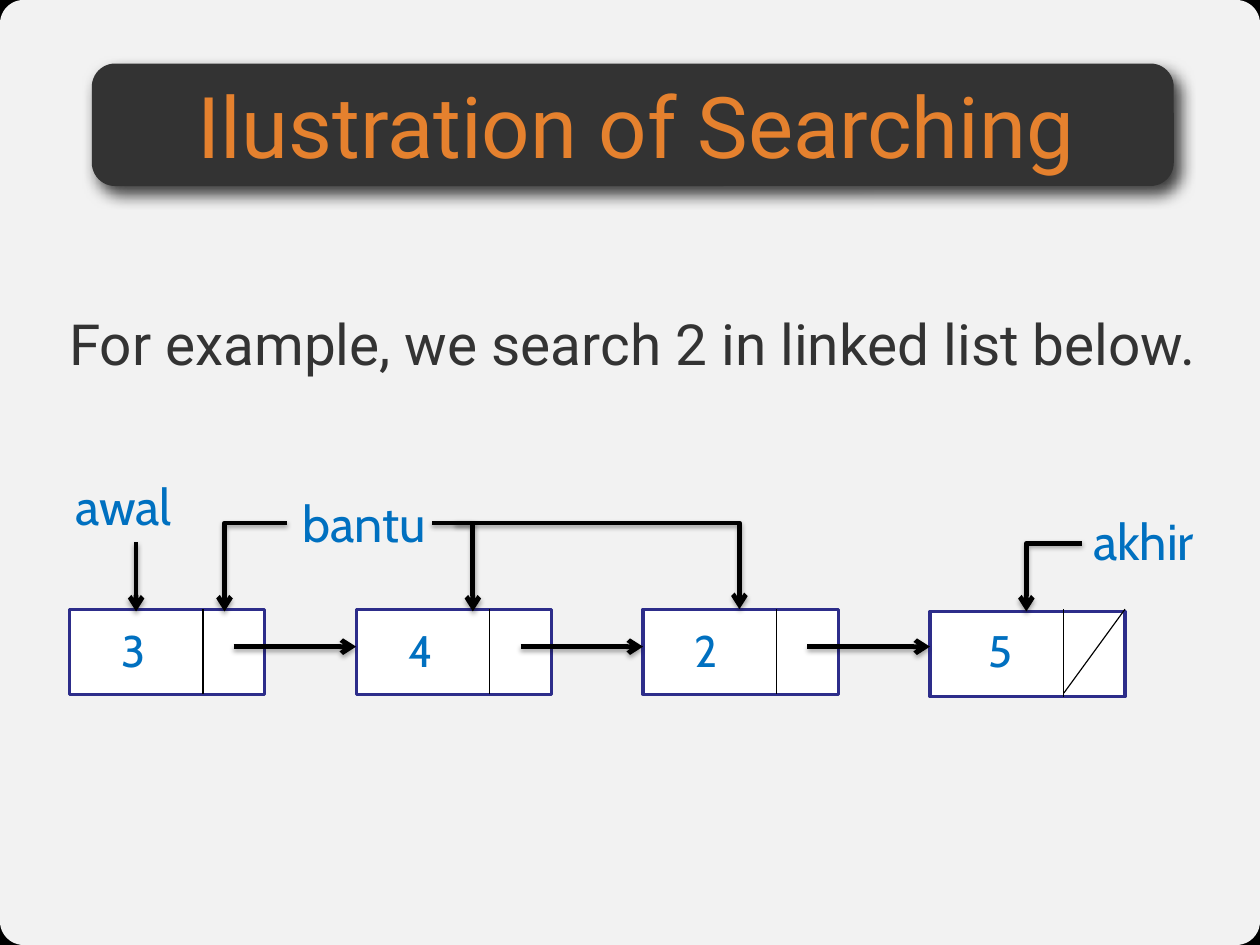
from pptx import Presentation
from pptx.dml.color import RGBColor
from pptx.enum.shapes import MSO_CONNECTOR, MSO_SHAPE
from pptx.enum.text import MSO_ANCHOR, PP_ALIGN
from pptx.oxml import parse_xml
from pptx.oxml.ns import nsdecls, qn
from pptx.util import Inches, Pt
from lxml.etree import SubElement

BLACK = RGBColor(0x00, 0x00, 0x00)
WHITE = RGBColor(0xFF, 0xFF, 0xFF)
CHARCOAL = RGBColor(0x33, 0x33, 0x33)
ORANGE = RGBColor(0xE5, 0x81, 0x2E)
BLUE = RGBColor(0x00, 0x70, 0xC0)
NAVY = RGBColor(0x2D, 0x2D, 0x8A)

NODE_WIDTH, NODE_HEIGHT = 1.72, 0.75
DIVIDER = 1.18
NODE_TOP = 5.37
FIRST_NODE = 0.61
NODE_PITCH = 2.53
NEXT_START, NEXT_Y = 1.45, 5.7


class ListSlide:
    heading_font = "Roboto"
    list_font = "Cabin"

    def __init__(self, deck):
        self.slide = deck.slides.add_slide(deck.slide_layouts[5])
        self.shapes = self.slide.shapes
        background = self.slide.background.fill
        background.solid()
        background.fore_color.rgb = BLACK

    def box(self, kind, left, top, width, height, fill, outline=None, corner=None):
        box = self.shapes.add_shape(kind, Inches(left), Inches(top), Inches(width), Inches(height))
        box.shadow.inherit = False
        box.fill.solid()
        box.fill.fore_color.rgb = fill
        if corner is not None:
            box.adjustments[0] = corner
        if outline is None:
            box.line.fill.background()
        else:
            box.line.color.rgb = outline
            box.line.width = Pt(2)
        return box

    def shadow(self, shape, alpha, blur, distance, angle):
        properties = shape.element.spPr
        for effects in properties.findall(qn("a:effectLst")):
            properties.remove(effects)
        properties.append(parse_xml(
            f'<a:effectLst {nsdecls("a")}><a:outerShdw blurRad="{Pt(blur)}" dist="{Pt(distance)}" '
            f'dir="{angle * 60000}" algn="tl" rotWithShape="0"><a:srgbClr val="000000">'
            f'<a:alpha val="{alpha * 1000}"/></a:srgbClr></a:outerShdw></a:effectLst>'))

    def fill_text(self, frame, words, size, font, color, margin=0):
        frame.text = words
        frame.word_wrap = True
        frame.margin_left = frame.margin_right = Inches(margin)
        frame.margin_top = frame.margin_bottom = Inches(margin / 2)
        run = frame.paragraphs[0].runs[0]
        run.font.size = Pt(size)
        run.font.name = font
        run.font.color.rgb = color

    def title(self, words, left, top, width, height):
        title = self.shapes.title
        title.left, title.top = Inches(left), Inches(top)
        title.width, title.height = Inches(width), Inches(height)
        self.fill_text(title.text_frame, words, 54, self.heading_font, ORANGE)
        title.text_frame.vertical_anchor = MSO_ANCHOR.MIDDLE
        title.text_frame.paragraphs[0].alignment = PP_ALIGN.CENTER
        title.element.getparent().append(title.element)

    def text(self, words, left, top, width, height, size, font, color, margin=0):
        box = self.shapes.add_textbox(Inches(left), Inches(top), Inches(width), Inches(height))
        self.fill_text(box.text_frame, words, size, font, color, margin)
        return box.text_frame.paragraphs[0]

    def label(self, words, left, top, width, height=0.64, size=32):
        self.text(words, left, top, width, height, size, self.list_font, BLUE, 0.1)

    def line(self, start, end, width=0.75, kind=MSO_CONNECTOR.STRAIGHT):
        line = self.shapes.add_connector(kind, *map(Inches, start + end))
        line.line.color.rgb = BLACK
        line.line.width = Pt(width)
        SubElement(line.element.spPr, qn("a:effectLst"))
        return line

    def arrow(self, start, end, kind=MSO_CONNECTOR.STRAIGHT):
        arrow = self.line(start, end, 3, kind)
        SubElement(arrow.element.spPr.find(qn("a:ln")), qn("a:tailEnd"), type="arrow")
        self.shadow(arrow, 35, 3.1, 1.8, 90)
        return arrow

    def bent_arrow(self, start, end):
        arrow = self.arrow(start, end, MSO_CONNECTOR.ELBOW)
        arrow.element.spPr.find(qn("a:prstGeom")).set("prst", "bentConnector2")

    def node(self, value, left, top, value_offset=0.36):
        self.box(MSO_SHAPE.RECTANGLE, left, top, NODE_WIDTH, NODE_HEIGHT, WHITE, NAVY)
        self.line((left + DIVIDER, NODE_TOP), (left + DIVIDER, top + NODE_HEIGHT))
        self.label(value, left + value_offset, 5.45, 0.63, 0.57, 28)


deck = Presentation()
deck.slide_width, deck.slide_height = Inches(11.11), Inches(8.33)
searching = ListSlide(deck)

panel = searching.box(MSO_SHAPE.ROUNDED_RECTANGLE, 0, 0, 11.11, 8.33, WHITE, corner=0.025)
panel_color = panel.element.spPr.find(qn("a:solidFill"))[0]
SubElement(panel_color, qn("a:alpha"), val="95000")

banner = searching.box(MSO_SHAPE.ROUNDED_RECTANGLE, 0.81, 0.56, 9.54, 1.08, CHARCOAL, corner=0.19)
searching.shadow(banner, 75, 10, 6, 51)
searching.title("Ilustration of Searching", 0.86, 0.6, 9.5, 1)

example = searching.text("For example, we search 2 in linked list below.",
                         0.61, 2.12, 10.07, 1.07, 36, searching.heading_font, CHARCOAL)
example.line_spacing = 2.0

node_lefts = [FIRST_NODE + NODE_PITCH * position for position in range(4)]
for value, left in zip("342", node_lefts):
    searching.node(value, left, NODE_TOP)
last_left = node_lefts[-1]
searching.node("5", last_left, 5.39, 0.42)
searching.line((last_left + NODE_WIDTH, NODE_TOP), (last_left + DIVIDER, 6.11))

for left, next_left in zip(node_lefts, node_lefts[1:]):
    searching.arrow((left + NEXT_START, NEXT_Y), (next_left, NEXT_Y))

for pointer, left, top, width in [("awal", 0.57, 4.14, 1.26),
                                  ("bantu", 2.57, 4.29, 1.44),
                                  ("akhir", 9.54, 4.45, 1.26)]:
    searching.label(pointer, left, top, width)

searching.arrow((1.2, 4.78), (1.2, 5.39))
for start, end in [((2.53, 4.61), (1.98, 5.39)),
                   ((4.01, 4.61), (4.17, 5.39)),
                   ((3.81, 4.61), (6.52, 5.37)),
                   ((9.54, 4.79), (9.05, 5.39))]:
    searching.bent_arrow(start, end)

deck.save("out.pptx")
